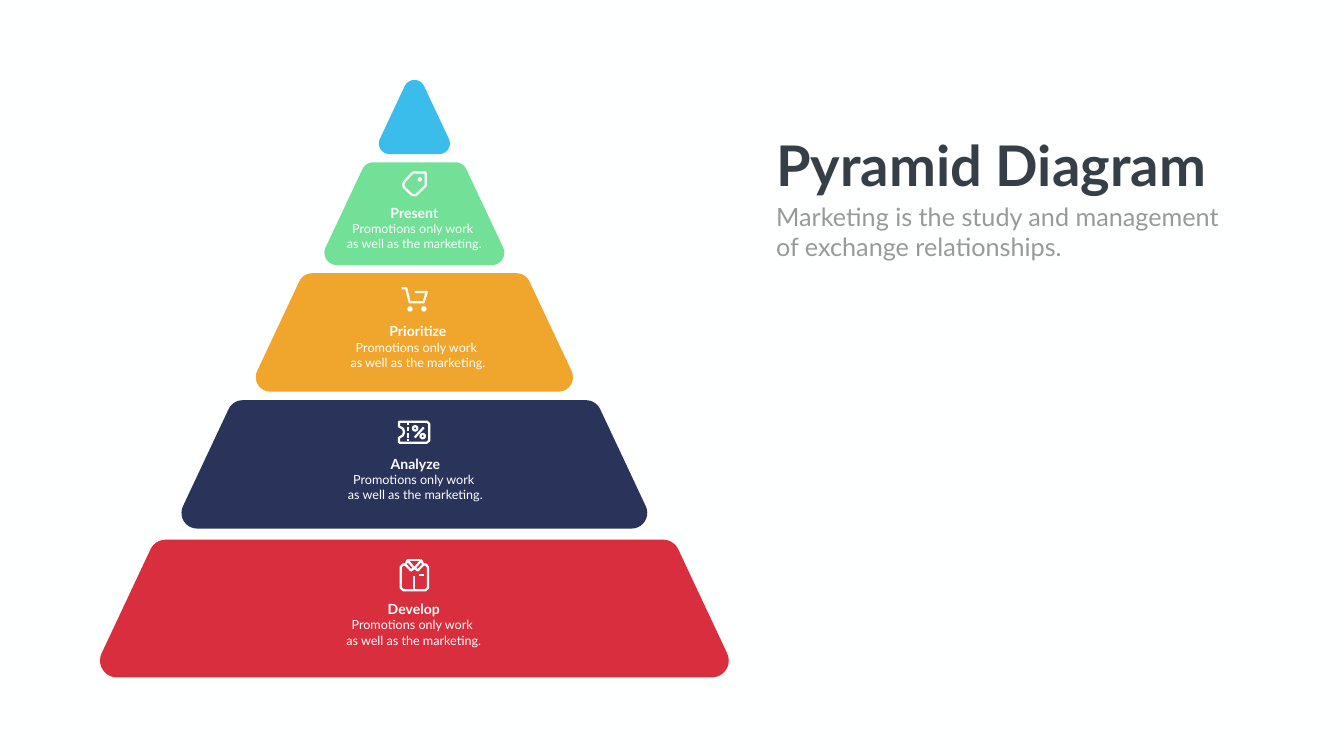
from math import acos, atan2, cos, hypot, pi, sin, tan

from lxml.etree import SubElement
from pptx import Presentation
from pptx.dml.color import RGBColor
from pptx.enum.shapes import MSO_CONNECTOR, MSO_SHAPE
from pptx.enum.text import PP_ALIGN
from pptx.oxml.ns import qn
from pptx.util import Cm, Pt

FONT = "Lato"
WHITE = RGBColor(0xFE, 0xFF, 0xFF)
SLATE = RGBColor(0x36, 0x3E, 0x48)
GREY = RGBColor(0x98, 0x99, 0x98)
RED = RGBColor(0xD9, 0x2E, 0x3D)
NAVY = RGBColor(0x2A, 0x34, 0x5B)
ORANGE = RGBColor(0xF0, 0xA5, 0x2C)
GREEN = RGBColor(0x72, 0xE1, 0x97)
BLUE = RGBColor(0x3A, 0xBD, 0xEB)

# All coordinates are in centimetres.
AXIS = 20.88
SLOPE = 0.47
ICON_LINE = 3.2
BODY_LINES = ["Promotions only work ", "as well as the marketing."]

# top, bottom, half width of the base, corner radius, colour
BANDS = [
    (27.2, 34.14, 16.33, 0.85, RED),
    (20.17, 26.64, 12.19, 0.79, NAVY),
    (13.77, 19.74, 8.41, 0.73, ORANGE),
    (8.18, 13.36, 4.89, 0.62, GREEN),
    (3.3, 7.77, 2.1, 0.54, BLUE),
]
# heading, centre, top
LABELS = [
    ("Present", 20.88, 10.16),
    ("Prioritize", 21.06, 16.15),
    ("Analyze", 20.93, 22.83),
    ("Develop", 20.85, 30.15),
]

TAG = [(20.8, 8.7), (21.45, 8.7), (21.45, 9.35), (21.0, 9.8), (20.88, 9.85),
       (20.73, 9.8), (20.36, 9.45), (20.32, 9.32), (20.36, 9.17)]
CART = [(20.24, 14.53), (20.47, 14.53), (20.64, 15.23), (21.35, 15.23),
        (21.5, 14.72), (20.9, 14.72)]
TICKET = [(20.11, 21.25), (21.51, 21.25), (21.63, 21.36), (21.63, 22.2),
          (21.51, 22.31), (20.11, 22.31), (20.11, 22.05), (20.3, 21.95),
          (20.36, 21.77), (20.3, 21.6), (20.11, 21.5)]
PERFORATIONS = [(21.34, 21.44), (21.54, 21.74), (21.82, 22.05), (22.12, 22.25)]
SHIRT = [(20.45, 28.45), (20.3, 28.45), (20.19, 28.58), (20.19, 29.62),
         (20.32, 29.75), (21.44, 29.75), (21.57, 29.62), (21.57, 28.58),
         (21.46, 28.45), (21.31, 28.45)]
COLLAR = [(20.53, 28.24), (20.87, 28.63), (20.71, 28.75), (20.43, 28.46)]


def round_corner(before, corner, after, radius, steps=10):
    """Points of the arc that replaces a corner between two neighbours."""
    x, y = corner
    units = []
    for nx, ny in (before, after):
        length = hypot(nx - x, ny - y)
        units.append(((nx - x) / length, (ny - y) / length))
    (ux, uy), (vx, vy) = units
    half = acos(ux * vx + uy * vy) / 2
    reach = radius / sin(half) / hypot(ux + vx, uy + vy)
    cx, cy = x + (ux + vx) * reach, y + (uy + vy) * reach
    tangent = radius / tan(half)
    start, end = (atan2(y + b * tangent - cy, x + a * tangent - cx) for a, b in units)
    sweep = (end - start + pi) % (2 * pi) - pi
    angles = [start + sweep * i / steps for i in range(steps + 1)]
    return [(cx + radius * cos(a), cy + radius * sin(a)) for a in angles]


def add_outline(page, points, closed=True):
    places = [(Cm(x), Cm(y)) for x, y in points]
    builder = page.shapes.build_freeform(*places[0])
    builder.add_line_segments(places[1:], close=closed)
    shape = builder.convert_to_shape()
    shape.shadow.inherit = False
    return shape


def add_band(page, top, bottom, half_base, radius, colour):
    half_top = half_base - SLOPE * (bottom - top)
    corners = [(AXIS + half_base, bottom), (AXIS - half_base, bottom)]
    if half_top < 0.01:
        corners.append((AXIS, top))
    else:
        corners += [(AXIS - half_top, top), (AXIS + half_top, top)]
    points = []
    for i, corner in enumerate(corners):
        after = corners[(i + 1) % len(corners)]
        points += round_corner(corners[i - 1], corner, after, radius)
    band = add_outline(page, points)
    band.fill.solid()
    band.fill.fore_color.rgb = colour
    band.line.fill.background()


def set_stroke(shape, width=ICON_LINE):
    shape.line.color.rgb = WHITE
    shape.line.width = Pt(width)


def add_stroke(page, points, closed=True):
    shape = add_outline(page, points, closed)
    shape.fill.background()
    set_stroke(shape)


def add_line(page, x1, y1, x2, y2, width=ICON_LINE):
    line = page.shapes.add_connector(
        MSO_CONNECTOR.STRAIGHT, Cm(x1), Cm(y1), Cm(x2), Cm(y2))
    set_stroke(line, width)
    SubElement(line._element.spPr, qn("a:effectLst"))


def add_circle(page, x, y, size, ring=False):
    circle = page.shapes.add_shape(
        MSO_SHAPE.OVAL, Cm(x - size / 2), Cm(y - size / 2), Cm(size), Cm(size))
    circle.shadow.inherit = False
    if ring:
        circle.fill.background()
        set_stroke(circle)
    else:
        circle.fill.solid()
        circle.fill.fore_color.rgb = WHITE
        circle.line.fill.background()


def add_icons(page):
    add_stroke(page, TAG)
    add_circle(page, 21.15, 9.04, 0.22)

    add_stroke(page, CART, closed=False)
    for x in (20.66, 21.36):
        add_circle(page, x, 15.57, 0.27)

    add_stroke(page, TICKET)
    for start, end in PERFORATIONS:
        add_line(page, 20.56, start, 20.56, end, 2.2)
    add_line(page, 20.9, 22.05, 21.35, 21.54)
    for x, y in ((21.3, 21.98), (20.92, 21.59)):
        add_circle(page, x, y, 0.22, ring=True)

    add_stroke(page, SHIRT, closed=False)
    add_stroke(page, COLLAR)
    add_stroke(page, [(2 * AXIS - x, y) for x, y in COLLAR])
    add_line(page, 20.55, 28.23, 21.18, 28.23)
    add_line(page, 21.11, 29.0, 21.35, 29.0, 2.8)
    add_line(page, AXIS, 29.03, AXIS, 29.7, 2.8)


def add_text(page, place, lines, size, colour, bold=False, align=PP_ALIGN.LEFT, wrap=True):
    box = page.shapes.add_textbox(*(Cm(value) for value in place))
    frame = box.text_frame
    frame.word_wrap = wrap
    frame.text = "\n".join(lines)
    for para in frame.paragraphs:
        para.alignment = align
        for span in para.runs:
            span.font.name = FONT
            span.font.size = Pt(size)
            span.font.bold = bold
            span.font.color.rgb = colour


def add_label(page, heading, centre, top):
    add_text(page, (centre - 2.41, top, 4.82, 1.12), [heading], 20, WHITE,
             bold=True, align=PP_ALIGN.CENTER)
    add_text(page, (centre - 4.29, top + 0.84, 8.58, 1.8), BODY_LINES, 18, WHITE,
             align=PP_ALIGN.CENTER)


def main():
    deck = Presentation()
    deck.slide_width, deck.slide_height = Cm(67.72), Cm(38.1)
    page = deck.slides.add_slide(deck.slide_layouts[6])
    page.background.fill.solid()
    page.background.fill.fore_color.rgb = WHITE

    for band in BANDS:
        add_band(page, *band)
    add_icons(page)
    add_text(page, (38.86, 6.43, 22.61, 3.68), ["Pyramid Diagram"], 80, SLATE,
             bold=True, wrap=False)
    add_text(page, (38.86, 10.03, 24.74, 3.33),
             ["Marketing is the study and management", "of exchange relationships."],
             36, GREY)
    for label in LABELS:
        add_label(page, *label)
    deck.save("out.pptx")


if __name__ == "__main__":
    main()
